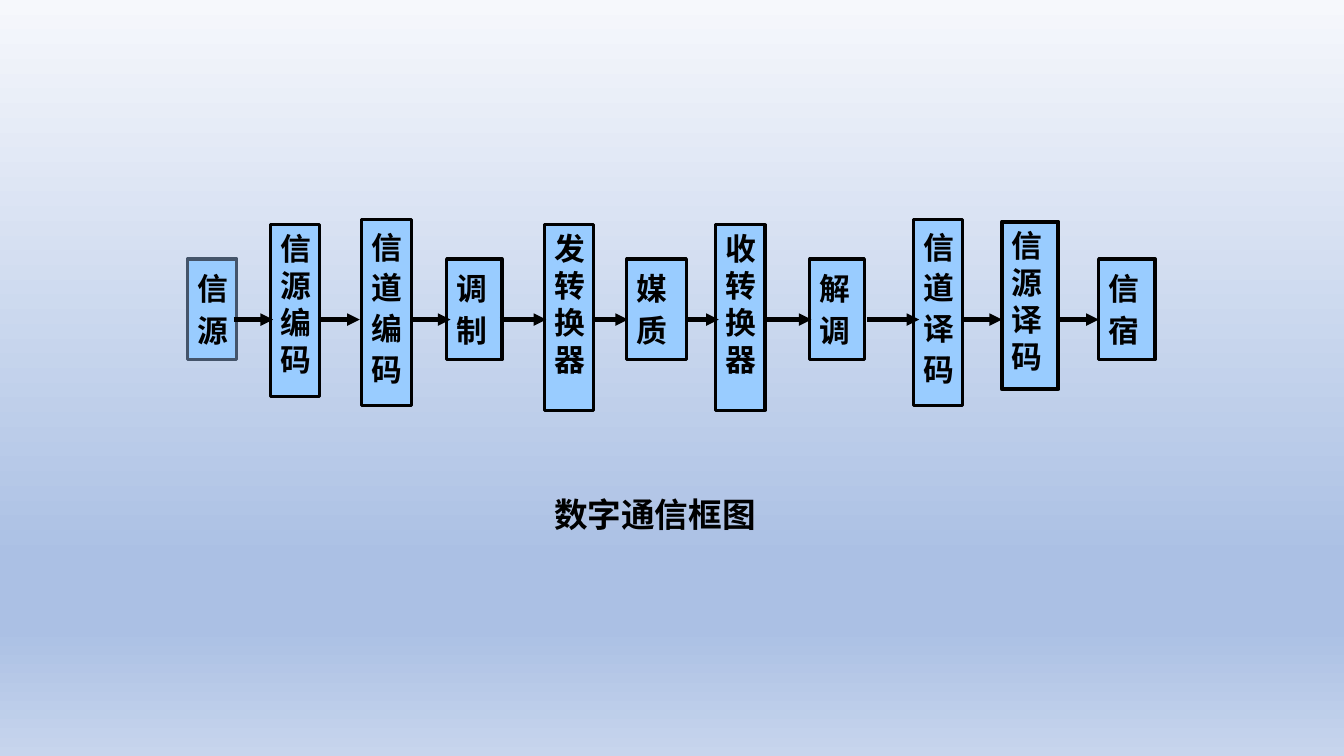
"""Block diagram of a digital communication system."""
from lxml.etree import SubElement
from pptx import Presentation
from pptx.dml.color import RGBColor
from pptx.enum.shapes import MSO_CONNECTOR, MSO_SHAPE
from pptx.enum.text import MSO_ANCHOR, MSO_AUTO_SIZE, PP_ALIGN
from pptx.oxml.ns import qn
from pptx.util import Pt

HUES = {"box": "99CCFF", "ink": "000000", "slate": "44546A",
        "top": "F6F8FC", "mid": "ABC0E4", "low": "C7D5ED"}


def hue(name):
    return RGBColor.from_string(HUES[name])


def write(para, text, size):
    run = para.add_run()
    run.text = text
    run.font.name = "Times New Roman"
    run.font.size = Pt(size)
    run.font.bold = True
    run.font.color.rgb = hue("ink")


deck = Presentation()
deck.slide_width, deck.slide_height = Pt(960), Pt(540)
slide = deck.slides.add_slide(deck.slide_layouts[6])

fill = slide.background.fill
fill.gradient()
fill.gradient_angle = 270
stops = slide.element.find(".//" + qn("a:gsLst"))
for stop in list(stops):
    stops.remove(stop)
for spot, name in [(0, "top"), (74, "mid"), (83, "mid"), (100, "low")]:
    stop = SubElement(stops, qn("a:gs"), pos=str(spot * 1000))
    SubElement(stop, qn("a:srgbClr"), val=HUES[name])

SHORT = (185, 72, 1.15)
CODE = (157, 132.5, 1.1)
TURN = (160.6, 132.5, 1)
boxes = [
    ("信源", 133.9, 35.3, SHORT, "slate", 2.25),
    ("信源编码", 193, 35.3, (160.6, 122.4, 1), "ink", 2.25),
    ("信道编码", 258.5, 35.3, CODE, "ink", 2.25),
    ("调制", 319, 39.6, SHORT, "ink", 2.25),
    ("发转换器", 388.8, 35.3, TURN, "ink", 2.25),
    ("媒质", 447.8, 42.5, SHORT, "ink", 2.25),
    ("收\n转换器", 511.2, 35.3, TURN, "ink", 2.25),
    ("解调", 578.5, 39, SHORT, "ink", 2.25),
    ("信道译码", 652.3, 35.3, CODE, "ink", 2.25),
    ("信源译码", 715.7, 40.3, (158.4, 119.5, 1), "ink", 3),
    ("信宿", 784.8, 40.3, SHORT, "ink", 2.25),
]
for text, left, width, (top, height, space), edge, weight in boxes:
    box = slide.shapes.add_shape(MSO_SHAPE.RECTANGLE, Pt(left), Pt(top),
                                 Pt(width), Pt(height))
    box.shadow.inherit = False
    box.fill.solid()
    box.fill.fore_color.rgb = hue("box")
    box.line.color.rgb = hue(edge)
    box.line.width = Pt(weight)
    frame = box.text_frame
    frame.word_wrap = True
    frame.vertical_anchor = MSO_ANCHOR.TOP
    for i, part in enumerate(text.split("\n")):
        para = frame.add_paragraph() if i else frame.paragraphs[0]
        para.alignment = PP_ALIGN.JUSTIFY
        para.line_spacing = float(space)
        write(para, part, 22)

MID = 228.3
arrows = [(167, 195.1), (229, 257), (293.8, 321.8), (357.1, 390.2),
          (424.1, 448.6), (491, 513.4), (547.9, 579.6), (619.2, 656.6),
          (687.6, 715.7), (756.7, 784.8)]
for start, end in arrows:
    line = slide.shapes.add_connector(MSO_CONNECTOR.STRAIGHT, Pt(start),
                                      Pt(MID), Pt(end), Pt(MID))
    line.line.color.rgb = hue("ink")
    line.line.width = Pt(3)
    SubElement(line.line._get_or_add_ln(), qn("a:tailEnd"), type="triangle")
    SubElement(line.element.spPr, qn("a:effectLst"))

title = slide.shapes.add_textbox(Pt(388.8), Pt(349.2), Pt(360), Pt(36))
title.text_frame.word_wrap = True
title.text_frame.auto_size = MSO_AUTO_SIZE.SHAPE_TO_FIT_TEXT
write(title.text_frame.paragraphs[0], "数字通信框图", 24)

deck.save("out.pptx")
